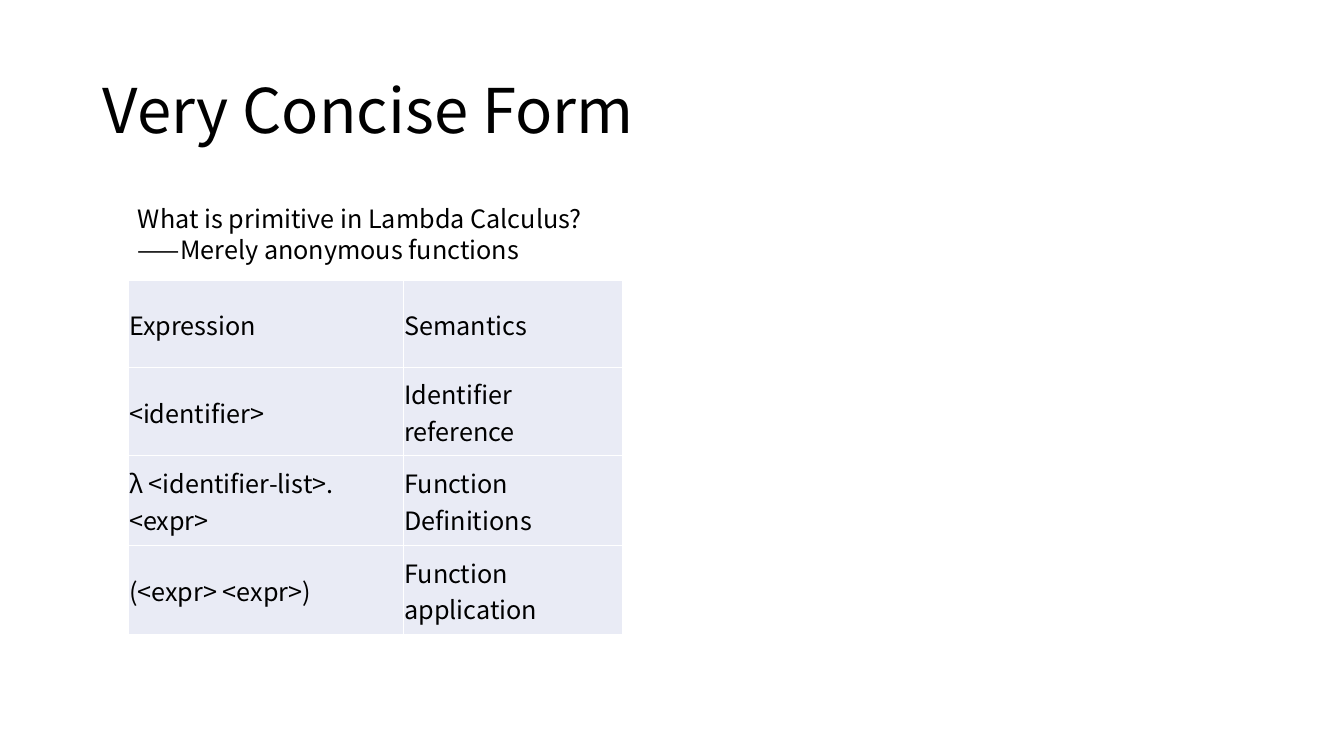
from lxml import etree
from pptx import Presentation
from pptx.dml.color import RGBColor
from pptx.enum.text import MSO_ANCHOR
from pptx.oxml.ns import qn
from pptx.util import Inches, Pt

MIDDLE = MSO_ANCHOR.MIDDLE
FONT = "Noto Sans CJK SC"
COLORS = {"text": "000000", "cell": "E9EBF5", "border": "FFFFFF"}
LEFT = 1.27

prs = Presentation()
prs.slide_width, prs.slide_height = Inches(13.33), Inches(7.5)
s = prs.slides.add_slide(prs.slide_layouts[6])


def write(tf, lines, size, spacing=None):
    tf.word_wrap = True
    for i, line in enumerate(lines):
        p = tf.add_paragraph() if i else tf.paragraphs[0]
        p.text = line
        p.line_spacing = spacing
        p.font.name, p.font.size = FONT, Pt(size)
        p.font.color.rgb = RGBColor.from_string(COLORS["text"])


# Title
tf = s.shapes.add_textbox(Inches(0.92), Inches(0.4), Inches(11.5), Inches(1.45)).text_frame
tf.vertical_anchor = MIDDLE
write(tf, ["Very Concise Form"], 44, 0.9)

# Table of expressions and their semantics
rows = [
    ("Expression", "Semantics"),
    ("<identifier>", "Identifier reference"),
    ("λ <identifier-list>. <expr>", "Function Definitions"),
    ("(<expr> <expr>)", "Function application"),
]
col_widths = [2.73, 2.18]
row_heights = [0.87, 0.87, 0.89, 0.89]
table = s.shapes.add_table(
    len(rows), len(col_widths), Inches(LEFT), Inches(2.78),
    Inches(sum(col_widths)), Inches(sum(row_heights))).table
table.first_row = table.horz_banding = False
for col, width in zip(table.columns, col_widths):
    col.width = Inches(width)
for row, height, texts in zip(table.rows, row_heights, rows):
    row.height = Inches(height)
    for cell, text in zip(row.cells, texts):
        cell.margin_left = cell.margin_right = cell.margin_top = Inches(0.01)
        cell.margin_bottom = 0
        cell.vertical_anchor = MIDDLE
        write(cell.text_frame, [text], 18)
        # Borders come before the fill in the cell properties
        tcPr = cell._tc.get_or_add_tcPr()
        for side in ("a:lnL", "a:lnR", "a:lnT", "a:lnB"):
            ln = etree.SubElement(tcPr, qn(side), w=str(Pt(1)))
            fill = etree.SubElement(ln, qn("a:solidFill"))
            etree.SubElement(fill, qn("a:srgbClr"), val=COLORS["border"])
        cell.fill.solid()
        cell.fill.fore_color.rgb = RGBColor.from_string(COLORS["cell"])

# Question and answer above the table
tf = s.shapes.add_textbox(Inches(LEFT), Inches(1.96), Inches(5.89), Inches(0.71)).text_frame
write(tf, ["What is primitive in Lambda Calculus?", "——Merely anonymous functions"], 18, Pt(22))

prs.save("out.pptx")
